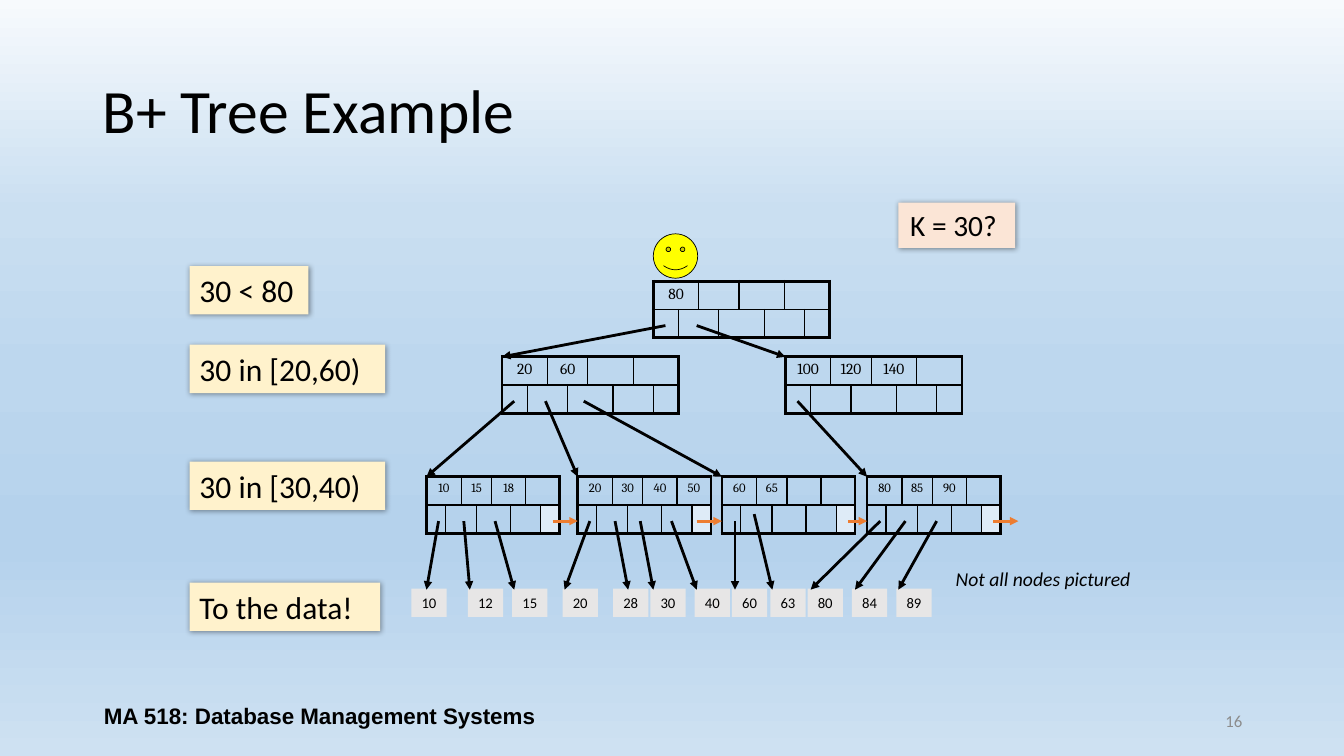
from lxml import etree
from pptx import Presentation
from pptx.dml.color import RGBColor
from pptx.enum.shapes import MSO_CONNECTOR, MSO_SHAPE
from pptx.enum.text import MSO_ANCHOR, PP_ALIGN
from pptx.oxml.ns import qn
from pptx.util import Inches, Pt

# Content
BLACK, ORANGE, CREAM, PEACH = "000000", "ED7D31", "FFF2CC", "FBE5D6"
STOPS = [(0, "F7FAFD"), (28, "CADFF1"), (49, "BDD7EE"),
         (71, "B5D2EC"), (72, "B5D2EC"), (100, "CEE1F2")]

# Nodes by level: top, scale, key size, list of (left, keys)
LEVELS = [
    (2.79, 1, 11, [(6.48, ["80"])]),
    (3.54, 1, 11, [(4.98, ["20", "60"]), (7.79, ["100", "120", "140"])]),
    (4.73, 0.75, 9, [(4.23, ["10", "15", "18"]),
                     (5.73, ["20", "30", "40", "50"]),
                     (7.16, ["60", "65"]), (8.6, ["80", "85", "90"])]),
]
COLS = [0.25, 0.2, 0.2, 0.2, 0.25, 0.2, 0.2, 0.25]
ROW = 0.28
SPANS = [[(0, 1), (2, 3), (4, 5), (6, 7)],
         [(0, 0), (1, 2), (3, 4), (5, 6), (7, 7)]]

# Pointers to the level below: start y, start x of each child's arrow
LINKS = [(3.23, [6.6, 6.91]), (3.98, [5.1, 5.41, 5.79, 7.91])]

# Leaf chain: start x, end x
CHAIN = [(5.48, 5.73), (6.91, 7.16), (8.41, 8.6), (9.85, 10.1)]
LEAF_Y = 5.17

# Records: value, box left, arrow start x, arrow end x
DATA = [("10", 4.08, 4.35, 4.23), ("12", 4.64, 4.6, 4.66),
        ("15", 5.08, 4.91, 5.1), ("20", 5.58, 5.85, 5.6),
        ("28", 6.08, 6.1, 6.23), ("30", 6.45, 6.35, 6.48),
        ("40", 6.89, 6.66, 6.91), ("60", 7.26, 7.29, 7.29),
        ("63", 7.64, 7.48, 7.66), ("80", 8.01, 8.73, 8.04),
        ("84", 8.45, 8.98, 8.48), ("89", 8.89, 9.29, 8.91)]

# Search notes: text, box, fill, size, alignment
NOTES = [("K = 30? ", (8.91, 2.01, 1.16, 0.45), PEACH, 21, PP_ALIGN.CENTER),
         ("30 < 80", (1.88, 2.64, 1.18, 0.48), CREAM, 22.5, PP_ALIGN.LEFT),
         ("30 in [20,60)", (1.88, 3.42, 1.94, 0.48), CREAM, 22.5, PP_ALIGN.LEFT),
         ("30 in [30,40)", (1.88, 4.58, 1.94, 0.48), CREAM, 22.5, PP_ALIGN.LEFT),
         ("To the data!", (1.88, 5.78, 1.89, 0.48), CREAM, 22.5, PP_ALIGN.LEFT)]

prs = Presentation()
prs.slide_width, prs.slide_height = Inches(13.33), Inches(7.5)
slide = prs.slides.add_slide(prs.slide_layouts[6])
shapes = slide.shapes


# Helpers
def color(code):
    return RGBColor.from_string(code)


def sub(parent, tag, **attrs):
    node = etree.SubElement(parent, qn("a:" + tag))
    for key, val in attrs.items():
        node.set(key, str(val))
    return node


def write(frame, text, size, align=PP_ALIGN.LEFT, anchor=MSO_ANCHOR.TOP,
          face="Calibri", ink=BLACK, wrap=True):
    frame.word_wrap = wrap
    frame.vertical_anchor = anchor
    para = frame.paragraphs[0]
    para.text = text
    para.alignment = align
    font = para.font
    font.name, font.size, font.color.rgb = face, Pt(size), color(ink)
    return para


def label(text, box, size, **style):
    frame = shapes.add_textbox(*map(Inches, box)).text_frame
    return write(frame, text, size, **style)


def block(kind, box, fill):
    shape = shapes.add_shape(kind, *map(Inches, box))
    shape.fill.solid()
    shape.fill.fore_color.rgb = color(fill)
    shape.line.fill.background()
    shape.shadow.inherit = False
    return shape


def arrow(x1, y1, x2, y2, ink=BLACK):
    line = shapes.add_connector(MSO_CONNECTOR.STRAIGHT,
                                *map(Inches, (x1, y1, x2, y2)))
    line.line.color.rgb = color(ink)
    line.line.width = Pt(2)
    sub(line.line._get_or_add_ln(), "tailEnd", type="triangle")
    sub(line._element.spPr, "effectLst")


def edge(cell, widths):
    props = cell._tc.get_or_add_tcPr()
    for spot, (side, width) in enumerate(zip("LRTB", widths)):
        line = sub(props, "ln" + side, w=Pt(width))
        sub(sub(line, "solidFill"), "srgbClr", val=BLACK)
        props.insert(spot, line)


def node(left, top, scale, size, keys, leaf):
    width = sum(COLS) * scale
    frame = shapes.add_table(2, len(COLS), *map(Inches, (left, top, width, 2 * ROW)))
    table = frame.table
    table.first_row = table.horz_banding = False
    for col, wide in zip(table.columns, COLS):
        col.width = Inches(wide * scale)
    for row, spans in enumerate(SPANS):
        table.rows[row].height = Inches(ROW)
        for spot, (first, last) in enumerate(spans):
            for col in range(first, last + 1):
                cell = table.cell(row, col)
                cell.margin_left = cell.margin_right = Inches(0.06)
                cell.margin_top = cell.margin_bottom = Inches(0.04)
                cell.fill.background()
                edge(cell, [2.25 if outer else 1 for outer in
                            (first == 0, last == 7, row == 0, row == 1)])
                sub(cell.text_frame.paragraphs[0]._p, "endParaRPr", sz=size * 100)
            cell = table.cell(row, first)
            if last > first:
                cell.merge(table.cell(row, last))
            if row == 0 and spot < len(keys):
                para = cell.text_frame.paragraphs[0]
                para.text = keys[spot]
                para.alignment = PP_ALIGN.CENTER
                para.space_before = Pt(size * 0.2)
                para.font.name, para.font.size = "Cambria", Pt(size)
                para.font.color.rgb = color(BLACK)
    if leaf:
        cell = table.cell(1, 7)
        cell.fill.solid()
        cell.fill.fore_color.rgb = color("DEEBF7")


# Background
back = slide.background.fill
back.gradient()
back.gradient_angle = 270
stops = slide.element.find(".//" + qn("a:gsLst"))
for old in list(stops):
    stops.remove(old)
for pos, code in STOPS:
    sub(sub(stops, "gs", pos=pos * 1000), "srgbClr", val=code)

# Title and footer
title = label("B+ Tree Example", (0.92, 0.4, 11.5, 1.45), 44, anchor=MSO_ANCHOR.MIDDLE)
title.line_spacing = 0.9
label("16", (9.42, 6.95, 3, 0.4), 12, align=PP_ALIGN.RIGHT,
      anchor=MSO_ANCHOR.MIDDLE, ink="8C8C8C")
course = label("MA 518: Database Management Systems", (0.92, 6.9, 4.5, 0.4), 16,
               align=PP_ALIGN.CENTER, anchor=MSO_ANCHOR.MIDDLE, face="Arial")
course.font.bold = True

# Tree nodes
for top, scale, size, nodes in LEVELS:
    for left, keys in nodes:
        node(left, top, scale, size, keys, leaf=scale < 1)

# Pointers
for (y, starts), (top, _, _, nodes) in zip(LINKS, LEVELS[1:]):
    for x, (left, _) in zip(starts, nodes):
        arrow(x, y, left, top)
for start, end in CHAIN:
    arrow(start, LEAF_Y, end, LEAF_Y, ORANGE)

# Records
for value, left, start, end in DATA:
    box = block(MSO_SHAPE.RECTANGLE, (left, 5.84, 0.35, 0.28), "E7E6E6")
    write(box.text_frame, value, 10.5, PP_ALIGN.CENTER, MSO_ANCHOR.MIDDLE, wrap=False)
    arrow(start, 5.1 if value == "63" else LEAF_Y, end, 5.85)

# Search notes
for text, box, fill, size, align in NOTES:
    note = block(MSO_SHAPE.RECTANGLE, box, fill)
    write(note.text_frame, text, size, align)
    glow = sub(note._element.spPr.find(qn("a:effectLst")), "outerShdw",
               blurRad=Pt(4), dist=Pt(1), dir=45 * 60000, algn="tl", rotWithShape=0)
    sub(sub(glow, "srgbClr", val=BLACK), "alpha", val=40000)

# Face and remark
face = block(MSO_SHAPE.SMILEY_FACE, (6.48, 2.32, 0.44, 0.44), "FFFF00")
face.line.color.rgb = color(BLACK)
face.line.width = Pt(0.5)
remark = label("Not all nodes pictured", (9.38, 5.58, 1.95, 0.34), 14, wrap=False)
remark.font.italic = True

prs.save("out.pptx")
